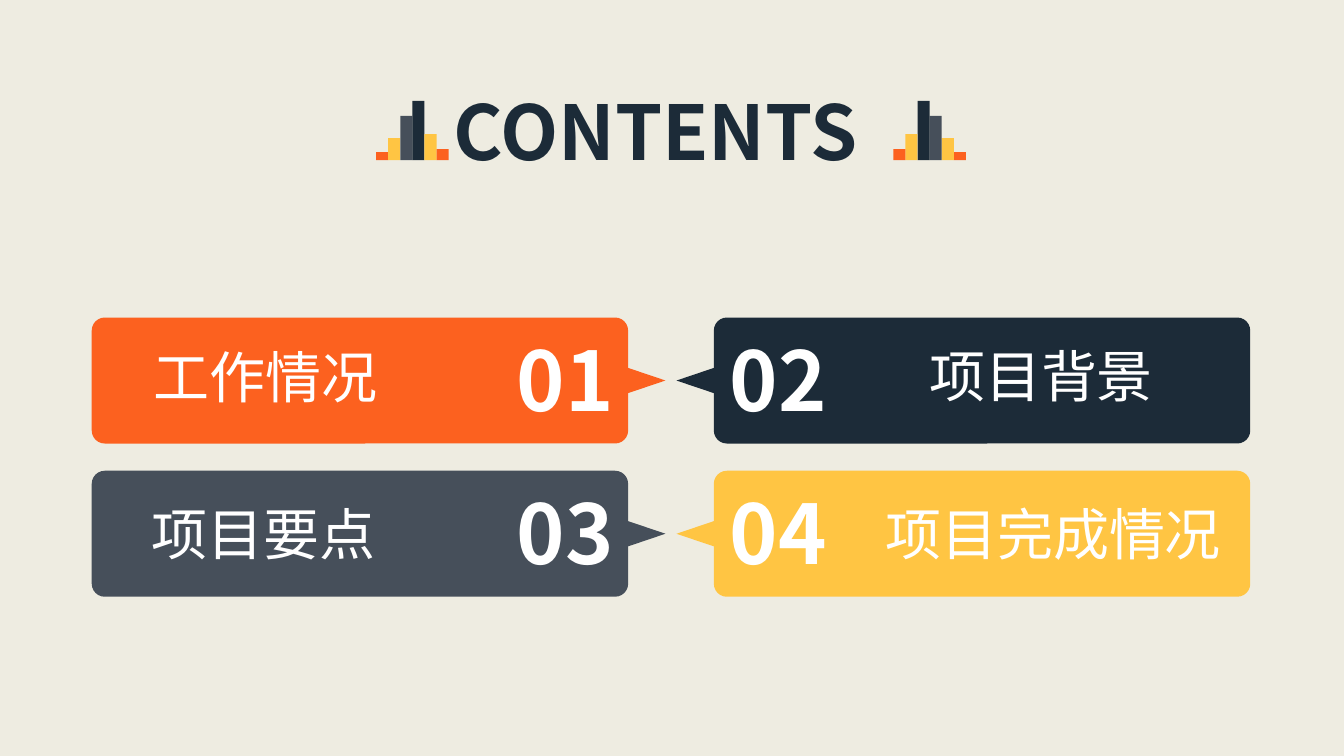
from dataclasses import dataclass

from pptx import Presentation
from pptx.dml.color import RGBColor
from pptx.enum.shapes import MSO_SHAPE
from pptx.enum.text import MSO_ANCHOR, PP_ALIGN
from pptx.util import Inches, Pt

RECT = MSO_SHAPE.RECTANGLE
ROUND = MSO_SHAPE.ROUNDED_RECTANGLE
TRIANGLE = MSO_SHAPE.ISOSCELES_TRIANGLE
LEFT, CENTER = PP_ALIGN.LEFT, PP_ALIGN.CENTER
MIDDLE = MSO_ANCHOR.MIDDLE


@dataclass(frozen=True)
class Theme:
    paper: str = "EEECE1"
    navy: str = "1C2B38"
    slate: str = "464F5A"
    orange: str = "FC611F"
    yellow: str = "FFC543"
    white: str = "FFFFFF"
    font: str = "Noto Sans CJK SC"
    title: float = 54
    number: float = 58.7
    label: float = 40


THEME = Theme()
SPAN = 13.31  # left edge plus right edge of any mirrored pair
CARD_W, CARD_H = 5.32, 1.25
TIP_W, TIP_H = 0.25, 0.37
BAR_W, BASE = 0.12, 1.59

# Bar heights and colours, from the outer edge inwards on the left
BARS = [
    (0.08, THEME.orange),
    (0.22, THEME.yellow),
    (0.44, THEME.slate),
    (0.59, THEME.navy),
    (0.26, THEME.yellow),
    (0.11, THEME.orange),
]

# Number, label, fill, card top, label left, label top, label width, on right
CARDS = [
    ("01", "工作情况", THEME.orange, 3.15, 1.41, 3.35, 2.45, False),
    ("02", "项目背景", THEME.navy, 3.15, 9.1, 3.34, 2.45, True),
    ("03", "项目要点", THEME.slate, 4.67, 1.39, 4.9, 2.45, False),
    ("04", "项目完成情况", THEME.yellow, 4.67, 8.66, 4.9, 3.57, True),
]


def mirror(x, w, right):
    return SPAN - x - w if right else x


def add_block(slide, kind, x, y, w, h, color):
    block = slide.shapes.add_shape(kind, Inches(x), Inches(y), Inches(w), Inches(h))
    block.shadow.inherit = False
    block.fill.solid()
    block.fill.fore_color.rgb = RGBColor.from_string(color)
    block.line.fill.background()
    return block


def add_text(slide, text, x, y, w, h, size, color, bold=False, align=CENTER, wrap=False):
    box = slide.shapes.add_textbox(Inches(x), Inches(y), Inches(w), Inches(h))
    frame = box.text_frame
    frame.word_wrap = wrap
    frame.vertical_anchor = MIDDLE
    para = frame.paragraphs[0]
    para.text = text
    para.alignment = align
    font = para.font
    font.name, font.size, font.bold = THEME.font, Pt(size), bold
    font.color.rgb = RGBColor.from_string(color)


def add_bars(slide, right):
    for i, (h, color) in enumerate(BARS):
        x = mirror(3.73 + i * BAR_W, BAR_W, right)
        add_block(slide, RECT, x, BASE - h, BAR_W, h, color)


def add_card(slide, number, label, color, top, left, label_top, width, right):
    x = mirror(0.91, CARD_W, right)
    card = add_block(slide, ROUND, x, top, CARD_W, CARD_H, color)
    card.adjustments[0] = 0.103

    # Pointer towards the middle of the slide
    x = mirror(6.29, TIP_W, right)
    tip = add_block(slide, TRIANGLE, x, top + 0.44, TIP_W, TIP_H, color)
    tip.rotation = 270 if right else 90

    x, w = (7.09, 1.26) if right else (4.99, 1.23)
    add_text(slide, number, x, top + 0.06, w, 1.09, THEME.number, THEME.white,
             bold=True, wrap=True)
    add_text(slide, label, left, label_top, width, 0.77, THEME.label, THEME.white)


def main():
    deck = Presentation()
    deck.slide_width, deck.slide_height = Inches(13.33), Inches(7.5)
    slide = deck.slides.add_slide(deck.slide_layouts[6])
    slide.background.fill.solid()
    slide.background.fill.fore_color.rgb = RGBColor.from_string(THEME.paper)

    # Heading between two bar motifs
    add_text(slide, "CONTENTS", 4.4, 0.79, 4.44, 1.01, THEME.title, THEME.navy,
             bold=True, align=LEFT)
    for right in (False, True):
        add_bars(slide, right)

    # Agenda cards
    for card in CARDS:
        add_card(slide, *card)

    deck.save("out.pptx")


if __name__ == "__main__":
    main()
